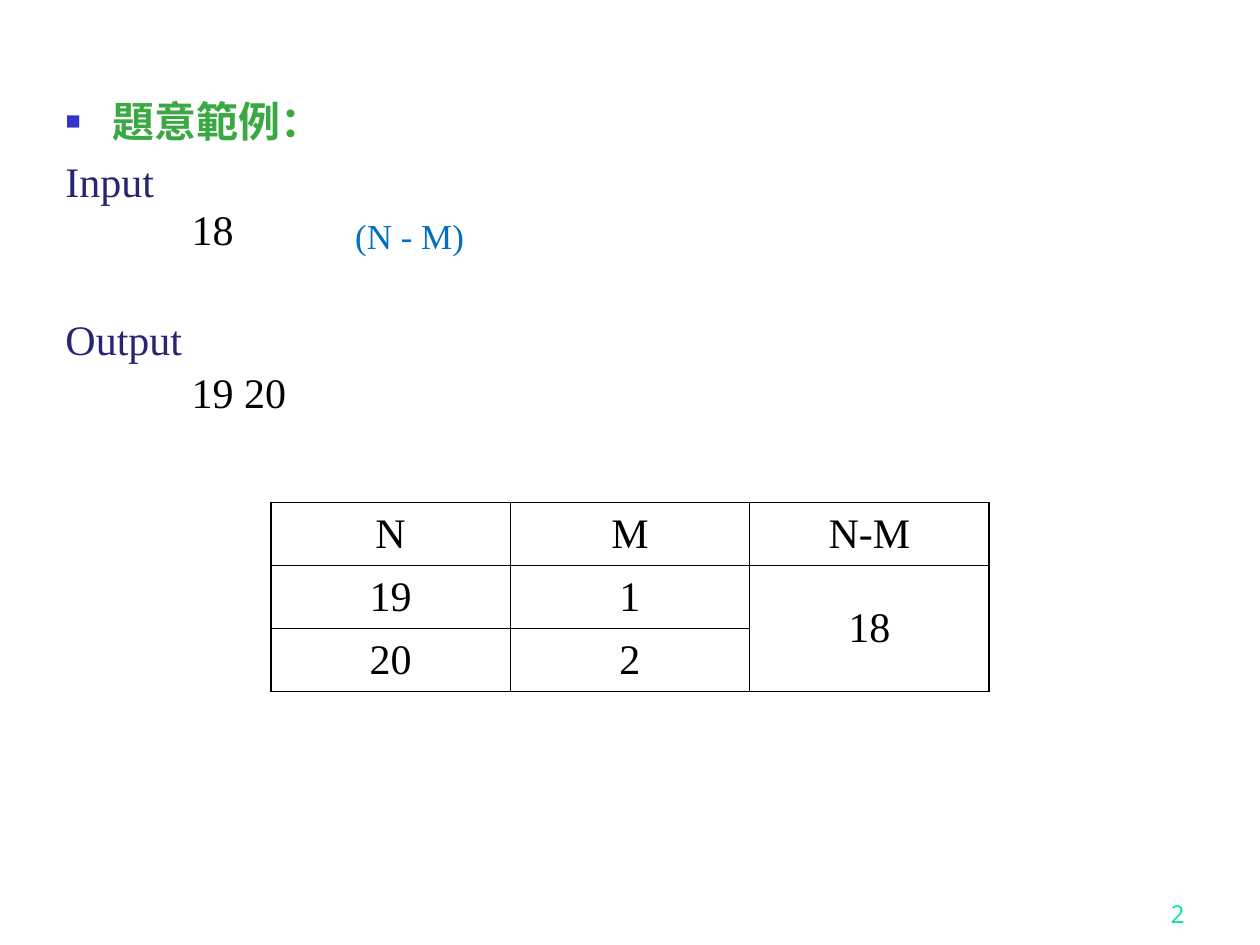
"""Build the example slide: input, output and a table of N, M and N-M."""
import lxml.etree
import pptx
import pptx.dml.color
import pptx.enum.text
import pptx.oxml
import pptx.oxml.ns
import pptx.util

Cm, Pt = pptx.util.Cm, pptx.util.Pt
ALIGN = pptx.enum.text.PP_ALIGN
ANCHOR = pptx.enum.text.MSO_ANCHOR
COLORS = {"heading": "3BA943", "bullet": "3333CC", "label": "262673",
          "note": "0070C0", "number": "00E4A8", "ink": "000000"}


def write(paragraph, text, size=24, color="ink", font="Times New Roman",
          bold=False, align=ALIGN.LEFT, spacing=0.9, before=0):
    paragraph.alignment = align
    paragraph.line_spacing = spacing
    paragraph.space_before = Pt(before)
    run = paragraph.add_run()
    run.text = text
    run.font.size = Pt(size)
    run.font.name = font
    run.font.bold = bold
    run.font.color.rgb = pptx.dml.color.RGBColor.from_string(COLORS[color])


def add_xml(parent, xml, index=None):
    opening, rest = xml.split(" ", 1)
    element = pptx.oxml.parse_xml(f"{opening} {pptx.oxml.ns.nsdecls('a')} {rest}")
    parent.insert(len(parent) if index is None else index, element)


deck = pptx.Presentation()
deck.slide_width, deck.slide_height = Cm(25.4), Cm(19.05)
slide = deck.slides.add_slide(deck.slide_layouts[1])
title = slide.shapes.title.element
title.getparent().remove(title)

example = slide.placeholders[1]
example.left, example.top = Cm(1.07), Cm(1.91)
example.width, example.height = Cm(22.43), Cm(15.62)
example.text_frame.auto_size = pptx.enum.text.MSO_AUTO_SIZE.NONE
example.text_frame.vertical_anchor = ANCHOR.TOP

heading = example.text_frame.paragraphs[0]
write(heading, "題意範例：", color="heading", bold=True, before=4.8)
heading_format = heading._p.get_or_add_pPr()
heading_format.set("marL", str(Cm(0.95)))
heading_format.set("indent", str(-Cm(0.95)))
for bullet_part in (f'<a:buClr ><a:srgbClr val="{COLORS["bullet"]}"/></a:buClr>',
                    '<a:buSzPct val="60000"/>', '<a:buChar char="■"/>'):
    add_xml(heading_format, bullet_part)

for sample, gap in (("18", 36), ("19 20", 67)):
    sample_line = example.text_frame.add_paragraph()
    write(sample_line, sample, before=gap)
    sample_format = sample_line._p.get_or_add_pPr()
    sample_format.set("marL", str(Cm(2.54)))
    sample_format.set("indent", "0")
    add_xml(sample_format, "<a:buNone />")

for text, left, top, width, height, look in (
        ("Input", 1.07, 3.12, 2.34, 1.17, {"color": "label"}),
        ("Output", 1.07, 6.32, 2.95, 1.17, {"color": "label"}),
        ("(N - M)", 6.91, 4.29, 2.72, 1.02, {"color": "note", "size": 20}),
        ("2", 18.85, 17.58, 5.28, 1.27,
         {"color": "number", "size": 14, "font": "Open Sans",
          "align": ALIGN.RIGHT, "spacing": 1.0})):
    label = slide.shapes.add_textbox(Cm(left), Cm(top), Cm(width), Cm(height))
    label.text_frame.word_wrap = text != "(N - M)"
    label.text_frame.vertical_anchor = ANCHOR.BOTTOM if text == "2" else ANCHOR.TOP
    write(label.text_frame.paragraphs[0], text, **look)

rows = (("N", "M", "N-M"), ("19", "1", "18"), ("20", "2", ""))
differences = slide.shapes.add_table(
    3, 3, Cm(5.46), Cm(10.13), Cm(14.48), Cm(3.81)).table
differences.first_row = differences.horz_banding = False
differences.cell(1, 2).merge(differences.cell(2, 2))
for row, values in enumerate(rows):
    for column, value in enumerate(values):
        cell = differences.cell(row, column)
        cell.vertical_anchor = ANCHOR.MIDDLE
        cell.fill.background()
        for index, side in enumerate(("lnL", "lnR", "lnT", "lnB")):
            add_xml(cell._tc.get_or_add_tcPr(),
                    f'<a:{side} w="{Pt(1)}"><a:solidFill><a:srgbClr '
                    f'val="{COLORS["ink"]}"/></a:solidFill></a:{side}>', index)
        if value:
            write(cell.text_frame.paragraphs[0], value,
                  align=ALIGN.CENTER, spacing=1.0)

deck.save("out.pptx")
